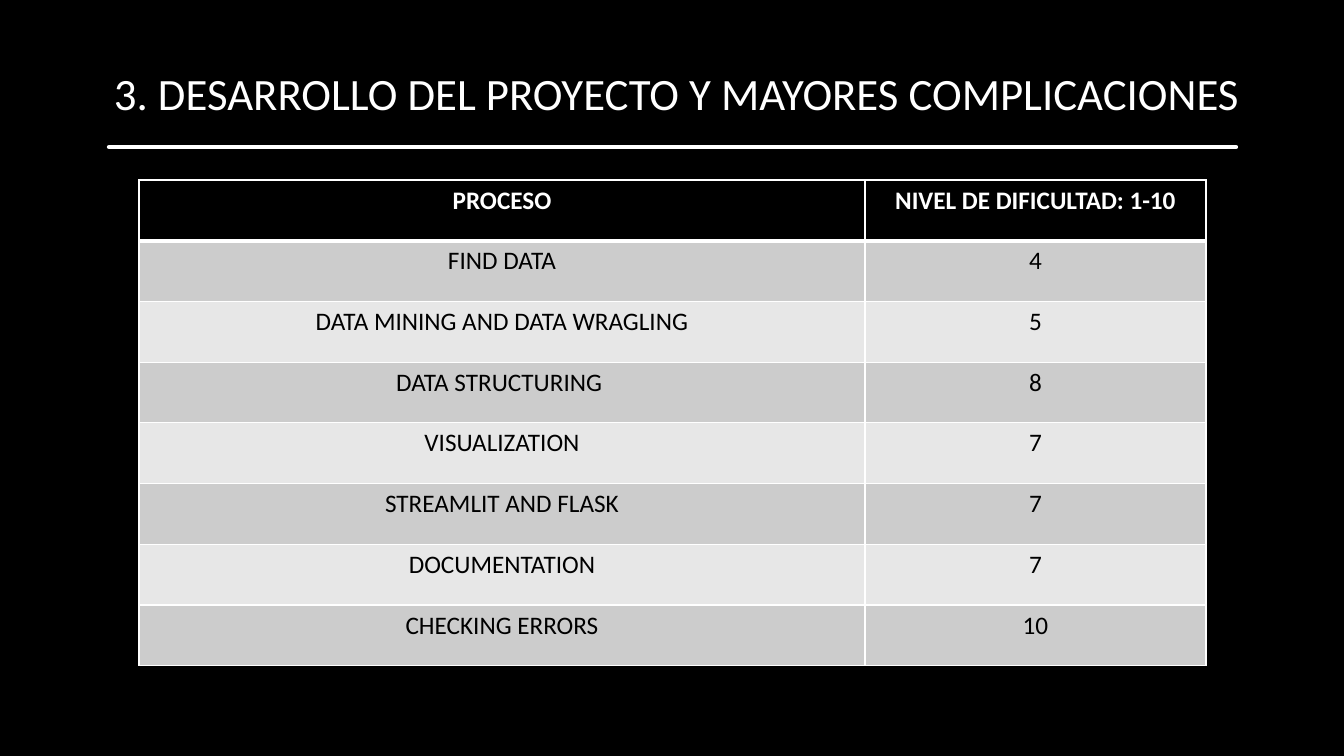
"""Builds a slide with a table of project stages and their difficulty."""
from dataclasses import dataclass

from lxml.etree import SubElement
from pptx import Presentation
from pptx.dml.color import RGBColor
from pptx.enum.shapes import MSO_CONNECTOR
from pptx.enum.text import MSO_AUTO_SIZE, PP_ALIGN
from pptx.oxml import parse_xml
from pptx.oxml.ns import nsdecls, qn
from pptx.slide import Slide
from pptx.table import _Cell
from pptx.text.text import _Paragraph
from pptx.util import Emu, Pt

SCALE = 12192000 / 1344
FONT = "Calibri"
COLORS = {"black": "000000", "white": "FFFFFF", "dark": "CCCCCC", "light": "E7E7E7"}
COLUMN_WIDTHS = (726, 341)
TABLE_LEFT, TABLE_TOP, TABLE_HEIGHT = 139, 180, 486
THIN, THICK = 1, 3


@dataclass(frozen=True)
class Stage:
    process: str
    difficulty: str


HEADING = Stage("PROCESO", "NIVEL DE DIFICULTAD: 1-10")
STAGES = (
    Stage("FIND DATA", "4"),
    Stage("DATA MINING AND DATA WRAGLING", "5"),
    Stage("DATA STRUCTURING ", "8"),
    Stage("VISUALIZATION", "7"),
    Stage("STREAMLIT AND FLASK", "7"),
    Stage("DOCUMENTATION", "7"),
    Stage("CHECKING ERRORS", "10"),
)


def px(length: float) -> Emu:
    return Emu(round(length * SCALE))


def rgb(color: str) -> RGBColor:
    return RGBColor.from_string(COLORS[color])


def add_run(paragraph: _Paragraph, wording: str, size: int, color: str, bold: bool = False) -> None:
    run = paragraph.add_run()
    run.text = wording
    run.font.name = FONT
    run.font.size = Pt(size)
    run.font.bold = bold
    run.font.color.rgb = rgb(color)


def set_borders(cell: _Cell, top: int, bottom: int) -> None:
    properties = cell._tc.get_or_add_tcPr()
    sides = (("lnL", THIN), ("lnR", THIN), ("lnT", top), ("lnB", bottom))
    for position, (side, width) in enumerate(sides):
        properties.insert(position, parse_xml(
            f'<a:{side} {nsdecls("a")} w="{Pt(width)}"><a:solidFill>'
            f'<a:srgbClr val="{COLORS["white"]}"/></a:solidFill></a:{side}>'))


def add_title(slide: Slide) -> None:
    title = slide.shapes.add_textbox(px(104), px(61), px(1168), px(65)).text_frame
    title.word_wrap = True
    title.auto_size = MSO_AUTO_SIZE.SHAPE_TO_FIT_TEXT
    add_run(title.paragraphs[0], "3. DESARROLLO DEL PROYECTO Y MAYORES COMPLICACIONES", 32, "white")


def add_underline(slide: Slide) -> None:
    underline = slide.shapes.add_connector(
        MSO_CONNECTOR.STRAIGHT, px(109), px(147), px(1236), px(147))
    underline.line.color.rgb = rgb("white")
    underline.line.width = Pt(THICK)
    underline.line._get_or_add_ln().set("cap", "rnd")
    SubElement(underline._element.spPr, qn("a:effectLst"))


def add_difficulty_table(slide: Slide) -> None:
    stages = (HEADING, *STAGES)
    table = slide.shapes.add_table(
        len(stages), len(COLUMN_WIDTHS), px(TABLE_LEFT), px(TABLE_TOP),
        px(sum(COLUMN_WIDTHS)), px(TABLE_HEIGHT)).table
    for column, width in zip(table.columns, COLUMN_WIDTHS):
        column.width = px(width)
    for index, stage in enumerate(stages):
        table.rows[index].height = px(TABLE_HEIGHT / len(stages))
        heading = index == 0
        fill = "black" if heading else ("light", "dark")[index % 2]
        for cell, wording in zip(table.rows[index].cells, (stage.process, stage.difficulty)):
            cell.fill.solid()
            cell.fill.fore_color.rgb = rgb(fill)
            set_borders(cell, THICK if index == 1 else THIN, THICK if heading else THIN)
            paragraph = cell.text_frame.paragraphs[0]
            paragraph.alignment = PP_ALIGN.CENTER
            add_run(paragraph, wording, 18, "white" if heading else "black", heading)


def main() -> None:
    deck = Presentation()
    deck.slide_width, deck.slide_height = px(1344), px(756)
    slide = deck.slides.add_slide(deck.slide_layouts[6])
    slide.background.fill.solid()
    slide.background.fill.fore_color.rgb = rgb("black")
    add_underline(slide)
    add_title(slide)
    add_difficulty_table(slide)
    deck.save("out.pptx")


main()
